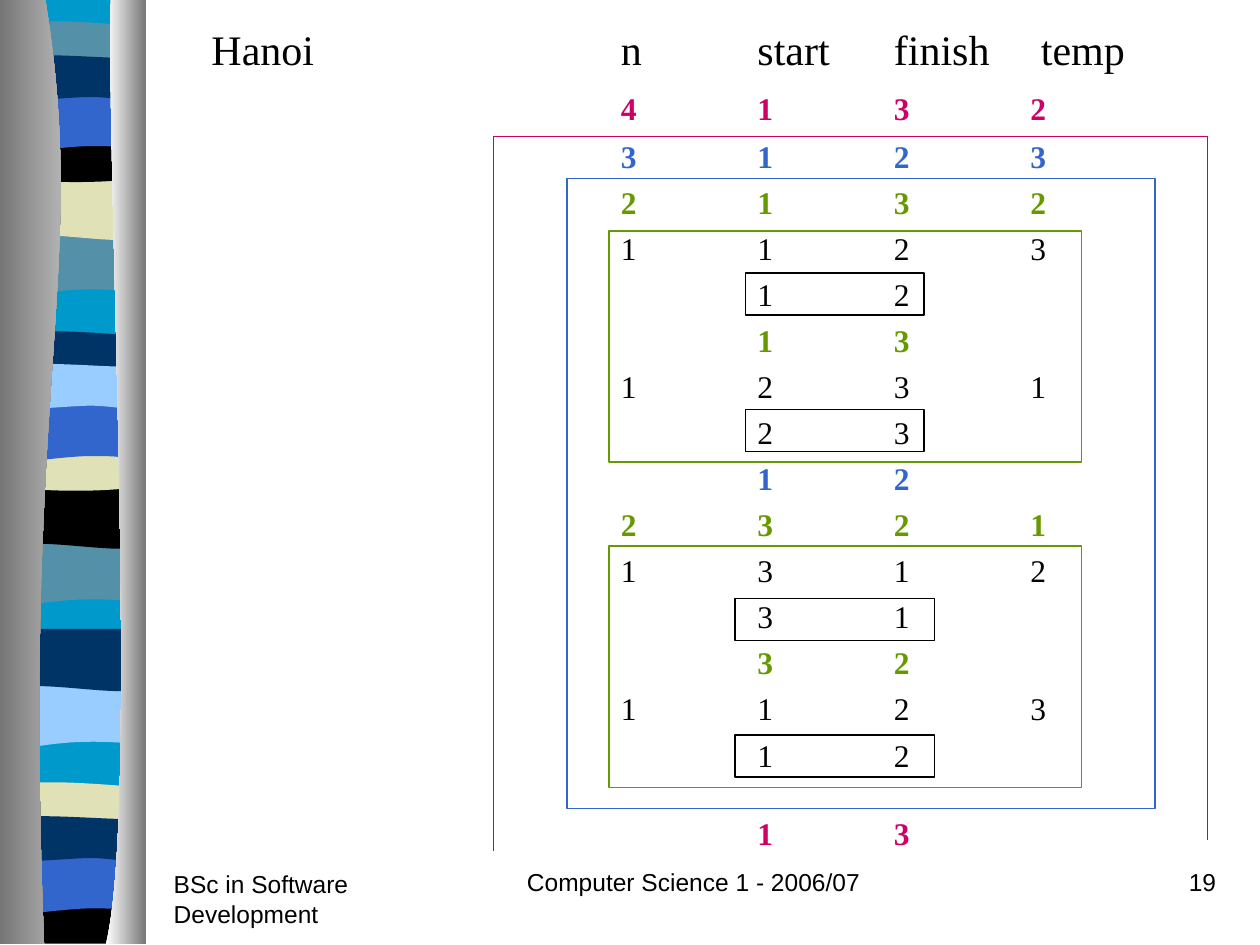
"""Build the Towers of Hanoi recursion trace slide."""
from typing import NamedTuple

from lxml.etree import SubElement
from pptx import Presentation
from pptx.dml.color import RGBColor
from pptx.enum.shapes import MSO_CONNECTOR as Conn, MSO_SHAPE as Shape
from pptx.enum.text import PP_ALIGN as Align
from pptx.oxml.ns import qn
from pptx.util import Inches, Pt

CELL = Inches(1 / 12)
COLS, ROWS = 120, 90
TAB_COLS = (39, 52, 65, 78)
HEADER_TAB_COLS = (39, 52, 65, 79)
SERIF, SANS = "Times New Roman", "Arial"
BLACK, PINK, BLUE, GREEN = "000000", "CC0066", "3366CC", "669900"
TEAL, CYAN, SAND, NAVY, SKY = "5490A8", "0099CC", "E1E1B7", "003366", "99CCFF"
BAND_LEFT, BAND_W = 0.06, 1.08

FLAT_TOP = [(0, 0), (BAND_W, 0)]
DIP_TOP = [(0, 0), (0.66, 0.05, 0.85, 0, BAND_W, 0)]
OUTLINES = {
    "base": [(BAND_W, 7.48), (0, 7.48), *FLAT_TOP],
    "wave": [(BAND_W, 0.47), (0.33, 0.39, 0.18, 0.55, 0, 0.47), *FLAT_TOP],
    "swell": [(BAND_W, 0.47), (0.9, 0.55, 0.33, 0.41, 0, 0.47), *FLAT_TOP],
    "lens": [(BAND_W, 0.24), (0.9, 0.28, 0.18, 0.28, 0, 0.24), (0, 0),
             (0.06, -0.05, 0.23, -0.04, 0.41, -0.04), (0.59, -0.04, 0.94, -0.01, BAND_W, 0)],
    "bowl": [(BAND_W, 0.32), (0.9, 0.38, 0.18, 0.38, 0, 0.32), *DIP_TOP],
    "foot": [(BAND_W, 0.37), (0, 0.37), *DIP_TOP],
    "arch": [(BAND_W, 0.47), (0.91, 0.42, 0.84, 0.42, 0.66, 0.42),
             (0.48, 0.42, 0.16, 0.47, 0, 0.47), *FLAT_TOP],
    "flag": [(BAND_W, 0.31), (1.01, 0.36, 0.84, 0.31, 0.66, 0.31),
             (0.48, 0.31, 0.11, 0.36, 0, 0.31), (0, 0),
             (0.15, -0.05, 0.73, 0, 0.91, 0), (1.09, 0, 1.04, 0, BAND_W, 0)],
}


class Band(NamedTuple):
    outline: str
    top: float
    color: str


class Box(NamedTuple):
    col: int
    row: int
    cols: int
    rows: int
    color: str


class Rule(NamedTuple):
    col: int
    row: int
    end_col: int
    end_row: int


class Call(NamedTuple):
    indent: str
    values: str
    color: str = BLACK


class Footer(NamedTuple):
    text: str
    left: float
    top: float
    width: float
    align: Align


BANDS = [
    Band("base", 0, CYAN),
    Band("wave", 1.85, TEAL), Band("swell", 1.41, SAND), Band("lens", 0.21, TEAL),
    Band("bowl", 1.08, BLACK), Band("arch", 0.74, BLUE), Band("flag", 0.46, NAVY),
    Band("wave", 4.31, TEAL), Band("swell", 3.86, BLACK), Band("lens", 2.67, NAVY),
    Band("bowl", 3.53, SAND), Band("arch", 3.2, BLUE), Band("flag", 2.91, SKY),
    Band("wave", 5.44, SKY), Band("swell", 4.99, NAVY), Band("lens", 6.25, SAND),
    Band("foot", 7.12, BLACK), Band("arch", 6.79, BLUE), Band("flag", 6.5, NAVY),
]
LEFT_EDGE = [(0.36, 0), (0.71, 2.16, 0.17, 2.96, 0.35, 7.49), (0, 7.49), (0, 0)]
RIGHT_EDGE = [(0.88, 0), (0.84, 1.25, 1.11, 6.46, 0.84, 7.49), (1.16, 7.49), (1.16, 0)]
CALLS = [
    Call("\t", "4\t1\t3\t2", PINK), Call("\t", "3\t1\t2\t3", BLUE),
    Call("\t", "2\t1\t3\t2", GREEN), Call("\t", "1\t1\t2\t3"), Call("\t\t", "1\t2"),
    Call("\t\t", "1\t3", GREEN), Call("\t", "1\t2\t3\t1"), Call("\t\t", "2\t3"),
    Call("\t\t", "1\t2", BLUE), Call("\t", "2\t3\t2\t1", GREEN),
    Call("\t", "1\t3\t1\t2"), Call("\t\t", "3\t1"), Call("\t\t", "3\t2", GREEN),
    Call("\t", "1\t1\t2\t3"), Call("\t\t", "1\t2"), Call("\t\t", "1\t3", PINK),
]
BOXES = [
    Box(71, 26, 17, 4, BLACK), Box(58, 22, 45, 22, GREEN), Box(71, 39, 17, 4, BLACK),
    Box(54, 17, 56, 60, BLUE), Box(58, 52, 45, 23, GREEN), Box(70, 57, 19, 4, BLACK),
    Box(70, 70, 19, 4, BLACK),
]
RULES = [Rule(47, 13, 115, 13), Rule(47, 13, 47, 81), Rule(115, 13, 115, 80)]
FOOTERS = [
    Footer("BSc in Software Development", 1.28, 6.85, 2.08, Align.LEFT),
    Footer("Computer Science 1 - 2006/07", 3.92, 6.83, 3.17, Align.CENTER),
    Footer("19", 7.67, 6.83, 2.08, Align.RIGHT),
]


def rgb(value: str) -> RGBColor:
    """Turn a hex string into a colour."""
    return RGBColor.from_string(value)


def apply(target, **values) -> None:
    """Set each named attribute on the target."""
    for name, value in values.items():
        setattr(target, name, value)


def add_outline(s, segs: list, left: float, top: float):
    """Draw a borderless closed outline of lines and cubic curves."""
    points = [(Inches(seg[i] + left), Inches(seg[i + 1] + top))
              for seg in segs for i in range(0, len(seg), 2)]
    fb = s.shapes.build_freeform(*points[0])
    fb.add_line_segments(points[1:], close=True)
    sp = fb.convert_to_shape()
    steps = iter(list(sp._element.iter(qn("a:lnTo"))))
    for seg in segs[1:]:
        step = next(steps)
        if len(seg) == 6:
            step.tag = qn("a:cubicBezTo")
            for extra in (next(steps), next(steps)):
                step.append(extra[0])
                extra.getparent().remove(extra)
    sp.shadow.inherit = False
    sp.line.fill.background()
    return sp


def add_band(s, band: Band) -> None:
    """Draw one coloured band of the ribbon."""
    sp = add_outline(s, [(BAND_W, 0), *OUTLINES[band.outline]], BAND_LEFT, band.top)
    sp.fill.solid()
    sp.fill.fore_color.rgb = rgb(band.color)


def add_edge(s, segs: list, start: str, end: str) -> None:
    """Draw a curtain edge shaded from left to right."""
    sp = add_outline(s, segs, 0, 0)
    sp.fill.gradient()
    sp.fill.gradient_angle = 0
    for stop, color in zip(sp.fill.gradient_stops, (start, end)):
        stop.color.rgb = rgb(color)


def add_box(s, box: Box) -> None:
    """Draw an unfilled frame around a call."""
    sp = s.shapes.add_shape(Shape.RECTANGLE, *(CELL * n for n in box[:4]))
    sp.shadow.inherit = False
    sp.fill.background()
    sp.line.color.rgb = rgb(box.color)
    sp.line.width = Pt(0.75)


def add_rule(s, rule: Rule) -> None:
    """Draw one side of the open outer frame."""
    ln = s.shapes.add_connector(Conn.STRAIGHT, *(CELL * n for n in rule))
    ln.line.color.rgb = rgb(PINK)
    ln.line.width = Pt(0.75)
    SubElement(ln._element.spPr, qn("a:effectLst"))


def add_text_frame(s, left: float, top: float, width: float, height: float):
    """Add a wrapping text box and return its frame."""
    tf = s.shapes.add_textbox(*map(Inches, (left, top, width, height))).text_frame
    tf.word_wrap = True
    return tf


def add_run(p, text: str, color: str, **font) -> None:
    """Append one formatted run."""
    r = p.add_run()
    r.text = text
    apply(r.font, **font)
    r.font.color.rgb = rgb(color)


def set_tabs(p, cols: tuple) -> None:
    """Give a paragraph left tab stops at grid columns."""
    tabs = SubElement(p._p.get_or_add_pPr(), qn("a:tabLst"))
    for col in cols:
        SubElement(tabs, qn("a:tab"), pos=str(CELL * col), algn="l")


def add_trace(s) -> None:
    """Write the heading and every recursive call."""
    tf = add_text_frame(s, 1.58, 0.25, 8.42, 6.56)
    p = tf.paragraphs[0]
    apply(p, line_spacing=0.7, space_before=Pt(15))
    set_tabs(p, HEADER_TAB_COLS)
    add_run(p, "Hanoi\tn\tstart\tfinish\ttemp", BLACK, name=SERIF, size=Pt(24))
    for i, call in enumerate(CALLS):
        last = i == len(CALLS) - 1
        p = tf.add_paragraph()
        apply(p, line_spacing=0.5 if last else 0.7, space_before=Pt(33 if last else 11.2))
        set_tabs(p, TAB_COLS)
        add_run(p, call.indent, BLACK, name=SERIF, size=Pt(18 if i else 24))
        add_run(p, call.values, call.color, name=SERIF, size=Pt(18), bold=call.color != BLACK)


def main() -> None:
    """Assemble and save the slide."""
    prs = Presentation()
    apply(prs, slide_width=CELL * COLS, slide_height=CELL * ROWS)
    s = prs.slides.add_slide(prs.slide_layouts[6])
    for band in BANDS:
        add_band(s, band)
    add_edge(s, LEFT_EDGE, "767676", "D0D0D0")
    add_edge(s, RIGHT_EDGE, "FFFFFF", "767676")
    for f in FOOTERS:
        p = add_text_frame(s, f.left, f.top, f.width, 0.5).paragraphs[0]
        apply(p, alignment=f.align, space_before=Pt(8.8))
        add_run(p, f.text, BLACK, name=SANS, size=Pt(14))
    add_trace(s)
    for box in BOXES:
        add_box(s, box)
    for rule in RULES:
        add_rule(s, rule)
    prs.save("out.pptx")


if __name__ == "__main__":
    main()
